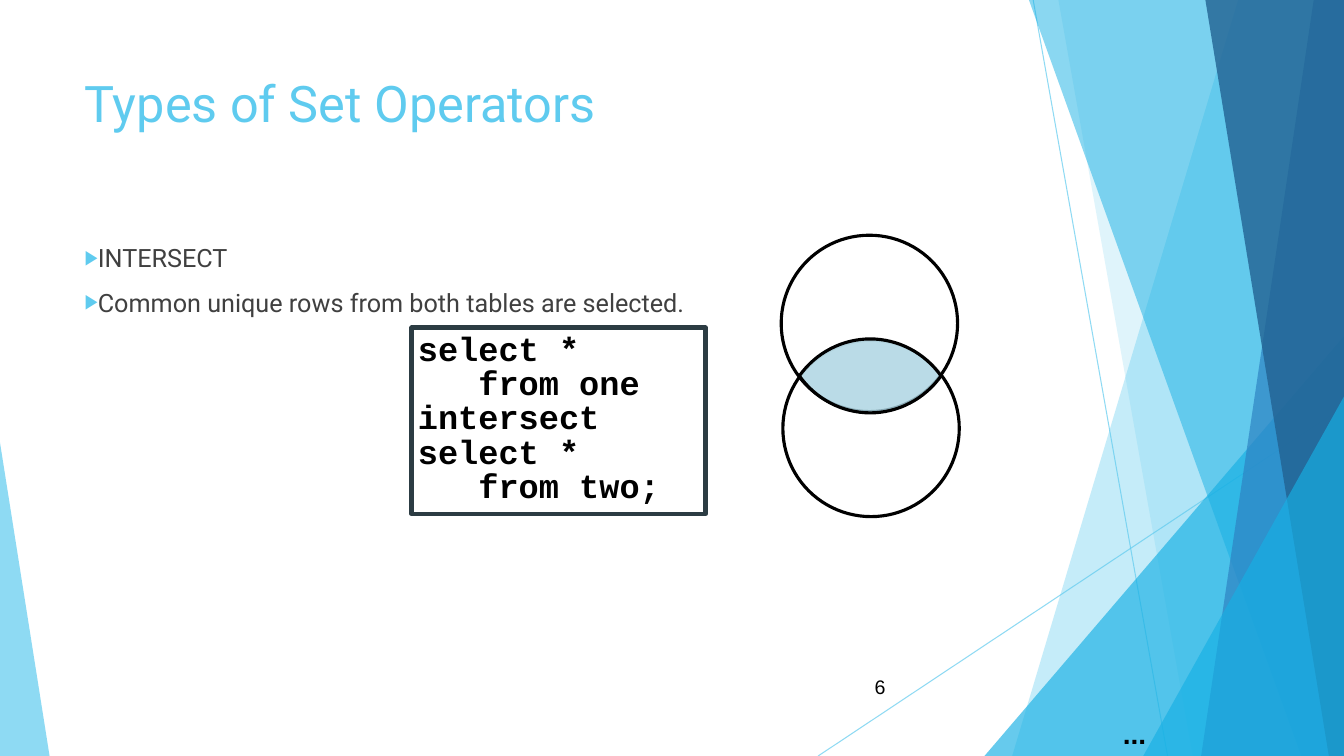
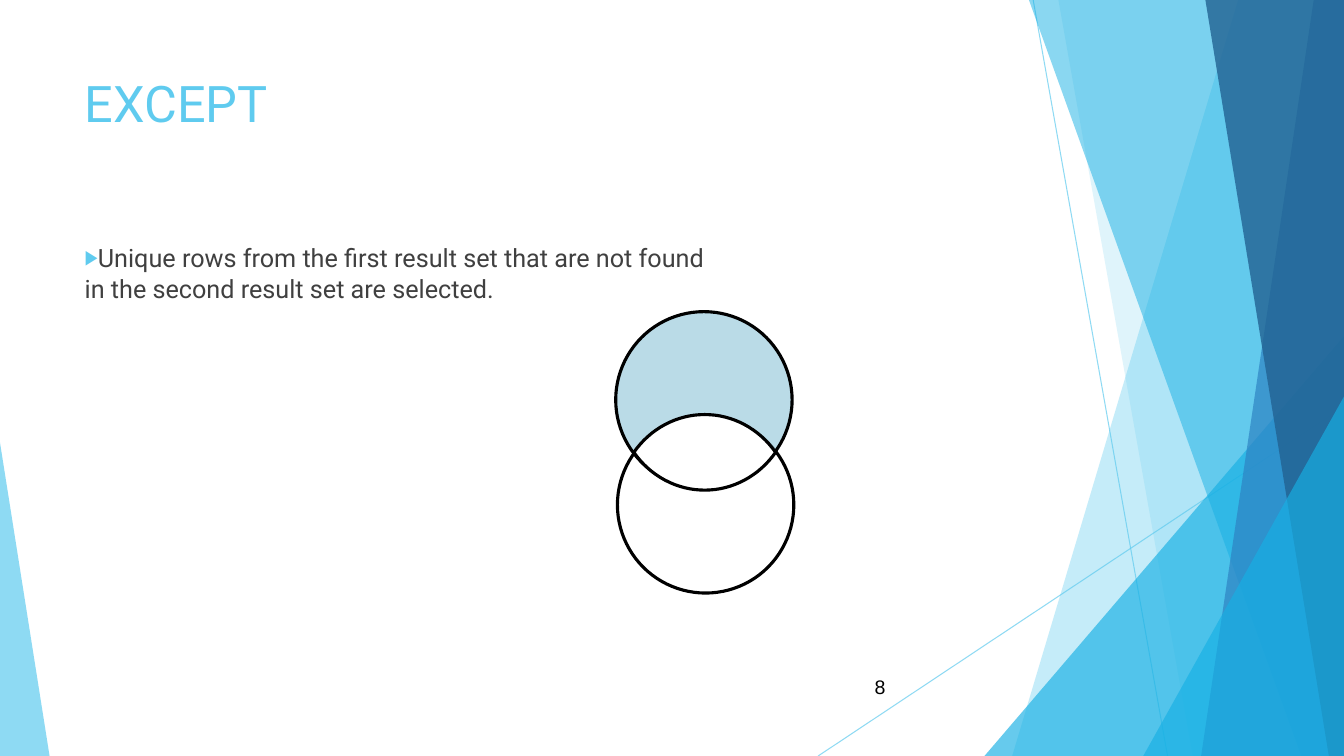
from dataclasses import dataclass
from math import acos, cos, hypot, pi, sin

from lxml import etree
from pptx import Presentation
from pptx.dml.color import RGBColor
from pptx.enum.shapes import MSO_CONNECTOR, MSO_SHAPE
from pptx.enum.text import MSO_ANCHOR, PP_ALIGN
from pptx.oxml.ns import qn
from pptx.util import Emu, Pt

STRAIGHT = MSO_CONNECTOR.STRAIGHT
OVAL, RECTANGLE, TRIANGLE = MSO_SHAPE.OVAL, MSO_SHAPE.RECTANGLE, MSO_SHAPE.ISOSCELES_TRIANGLE
TOP, MIDDLE = MSO_ANCHOR.TOP, MSO_ANCHOR.MIDDLE
LEFT, RIGHT = PP_ALIGN.LEFT, PP_ALIGN.RIGHT

COLUMNS, ROWS = 160, 90
CELL = Pt(6)


def grid(*lengths):
    return [Emu(round(length * CELL)) for length in lengths]


@dataclass(frozen=True)
class Theme:
    sky: str = "5FCBEF"
    cyan: str = "17B0E4"
    blue: str = "2E83C3"
    navy: str = "226292"
    pale: str = "A9D3E1"
    slate: str = "2C3C43"
    body: str = "404040"
    black: str = "000000"
    white: str = "FFFFFF"
    text_font: str = "Roboto"
    plain_font: str = "Arial"
    code_font: str = "Courier New"
    title_size: int = 36
    body_size: int = 18
    code_size: int = 24
    number_size: int = 14
    mark_size: int = 20


class Deck:
    def __init__(self, theme):
        self.theme = theme
        self.presentation = Presentation()
        self.presentation.slide_width, self.presentation.slide_height = grid(COLUMNS, ROWS)
        self.slide = None

    def add_slide(self, title, number):
        theme = self.theme
        layout = self.presentation.slide_layouts[6]
        self.slide = self.presentation.slides.add_slide(layout)
        self.backdrop()
        self.text(title, (8.9, 8, 112.8, 17.3), theme.text_font, theme.title_size, theme.sky)
        self.text(str(number), (94.6, 79.3, 12, 4.8), theme.plain_font, theme.number_size,
                  theme.black, align=RIGHT, anchor=MIDDLE)

    def backdrop(self):
        theme = self.theme
        self.hairline((123, 0), (139, ROWS))
        self.hairline((COLUMNS, 48.4), (97.4, ROWS))
        self.band(147.4, 120.5, theme.sky, 36)
        self.band(126, 142, theme.sky, 20)
        self.wedge((117.2, 40, 42.8, 50), theme.cyan, 66, 1)
        self.band(122.5, 154.9, theme.cyan, 50)
        self.band(156.4, 143, theme.blue, 70)
        self.band(143.5, 158.2, theme.navy, 80)
        self.wedge((136.1, 47.2, 23.9, 42.8), theme.cyan, 66, 1)
        self.wedge((0, 52.7, 5.9, 37.3), theme.sky, 70, 0)

    def fade(self, properties, opacity):
        color = properties.find(qn("a:solidFill"))[0]
        etree.SubElement(color, qn("a:alpha"), val=str(opacity * 1000))

    def paint(self, shape, fill, opacity=100, line=None, width=2.25):
        shape.shadow.inherit = False
        shape.fill.solid()
        shape.fill.fore_color.rgb = RGBColor.from_string(fill)
        if opacity < 100:
            self.fade(shape._element.spPr, opacity)
        if line:
            shape.line.color.rgb = RGBColor.from_string(line)
            shape.line.width = Pt(width)
        else:
            shape.line.fill.background()

    def hairline(self, start, end):
        connector = self.slide.shapes.add_connector(STRAIGHT, *grid(*start, *end))
        connector.line.color.rgb = RGBColor.from_string(self.theme.sky)
        connector.line.width = Pt(0.75)
        properties = connector._element.spPr
        self.fade(properties.find(qn("a:ln")), 70)
        etree.SubElement(properties, qn("a:effectLst"))

    def outline(self, points):
        corners = [grid(*point) for point in points]
        builder = self.slide.shapes.build_freeform(*corners[0], scale=1.0)
        builder.add_line_segments(corners[1:], close=True)
        return builder.convert_to_shape()

    def band(self, top, bottom, color, opacity):
        shape = self.outline([(top, 0), (COLUMNS, 0), (COLUMNS, ROWS), (bottom, ROWS)])
        self.paint(shape, color, opacity)

    def wedge(self, box, color, opacity, apex):
        shape = self.slide.shapes.add_shape(TRIANGLE, *grid(*box))
        shape.adjustments[0] = apex
        self.paint(shape, color, opacity)

    def set_text(self, shape, text, font, size, color, bold=False, align=LEFT, anchor=TOP,
                 wrap=True):
        frame = shape.text_frame
        frame.word_wrap = wrap
        frame.vertical_anchor = anchor
        frame.text = text
        for paragraph in frame.paragraphs:
            paragraph.alignment = align
            for run in paragraph.runs:
                run.font.name = font
                run.font.size = Pt(size)
                run.font.bold = bold
                run.font.color.rgb = RGBColor.from_string(color)
        return frame

    def text(self, text, box, font, size, color, **style):
        shape = self.slide.shapes.add_textbox(*grid(*box))
        return self.set_text(shape, text, font, size, color, **style)

    def bullets(self, items):
        theme = self.theme
        frame = self.text("\n".join(items), (8.9, 28.3, 112.8, 50.9),
                          theme.text_font, theme.body_size, theme.body)
        for index, paragraph in enumerate(frame.paragraphs):
            paragraph.space_before = Pt(10 if index else 0)
            properties = paragraph._p.get_or_add_pPr()
            properties.set("marL", "0")
            properties.set("indent", "0")
            color = etree.SubElement(properties, qn("a:buClr"))
            etree.SubElement(color, qn("a:srgbClr"), val=theme.sky)
            etree.SubElement(properties, qn("a:buSzPct"), val="80000")
            etree.SubElement(properties, qn("a:buFont"), typeface=theme.plain_font)
            etree.SubElement(properties, qn("a:buChar"), char="▶")

    def code(self, text, box):
        theme = self.theme
        shape = self.slide.shapes.add_shape(RECTANGLE, *grid(*box))
        self.paint(shape, theme.white, line=theme.slate, width=3)
        frame = self.set_text(shape, text, theme.code_font, theme.code_size, theme.black,
                              bold=True)
        frame.margin_left = frame.margin_top = frame.margin_right = frame.margin_bottom = Pt(4.5)
        for paragraph in frame.paragraphs:
            paragraph.line_spacing = 0.85

    def circle(self, left, top, diameter, fill, opacity=100):
        shape = self.slide.shapes.add_shape(OVAL, *grid(left, top, diameter, diameter))
        self.paint(shape, fill, opacity, self.theme.black)

    def venn(self, left, top, upper_fill, lens_fill, lens_height, lens_opacity=100):
        diameter, shift, drop = 21, 0.2, 12.5
        self.circle(left + shift, top + drop, diameter, self.theme.white)
        self.circle(left, top, diameter, upper_fill, 80)

        radius, half = diameter / 2, hypot(shift, drop) / 2
        center_x, center_y = left + radius + shift / 2, top + radius + drop / 2
        reach = acos(half / radius)
        stretch = lens_height / 2 / (radius - half)
        steps = 32
        points = []
        for turn in (0, pi):
            for step in range(steps):
                angle = reach * (1 - 2 * step / steps)
                x = radius * sin(angle)
                y = (radius * cos(angle) - half) * stretch
                points.append((center_x + x * cos(turn), center_y + y * cos(turn)))
        self.paint(self.outline(points), lens_fill, lens_opacity, self.theme.black)

    def save(self):
        self.presentation.save("out.pptx")


def main():
    theme = Theme()
    deck = Deck(theme)

    deck.add_slide("Types of Set Operators", 6)
    deck.bullets(["INTERSECT", "Common unique rows from both tables are selected."])
    deck.code("select *\n   from one\nintersect\nselect *\n   from two;", (49, 39, 35, 22.2))
    deck.venn(93, 28, theme.white, theme.pale, 8.8, 80)
    deck.text("...", (132.5, 84.7, 5.2, 5.3), theme.plain_font, theme.mark_size,
              theme.black, bold=True, wrap=False)

    deck.add_slide("EXCEPT", 8)
    deck.bullets(["Unique rows from the first result set that are not found\v"
                  "in the second result set are selected."])
    deck.venn(73.3, 37.1, theme.pale, theme.white, 9)

    deck.save()


if __name__ == "__main__":
    main()
